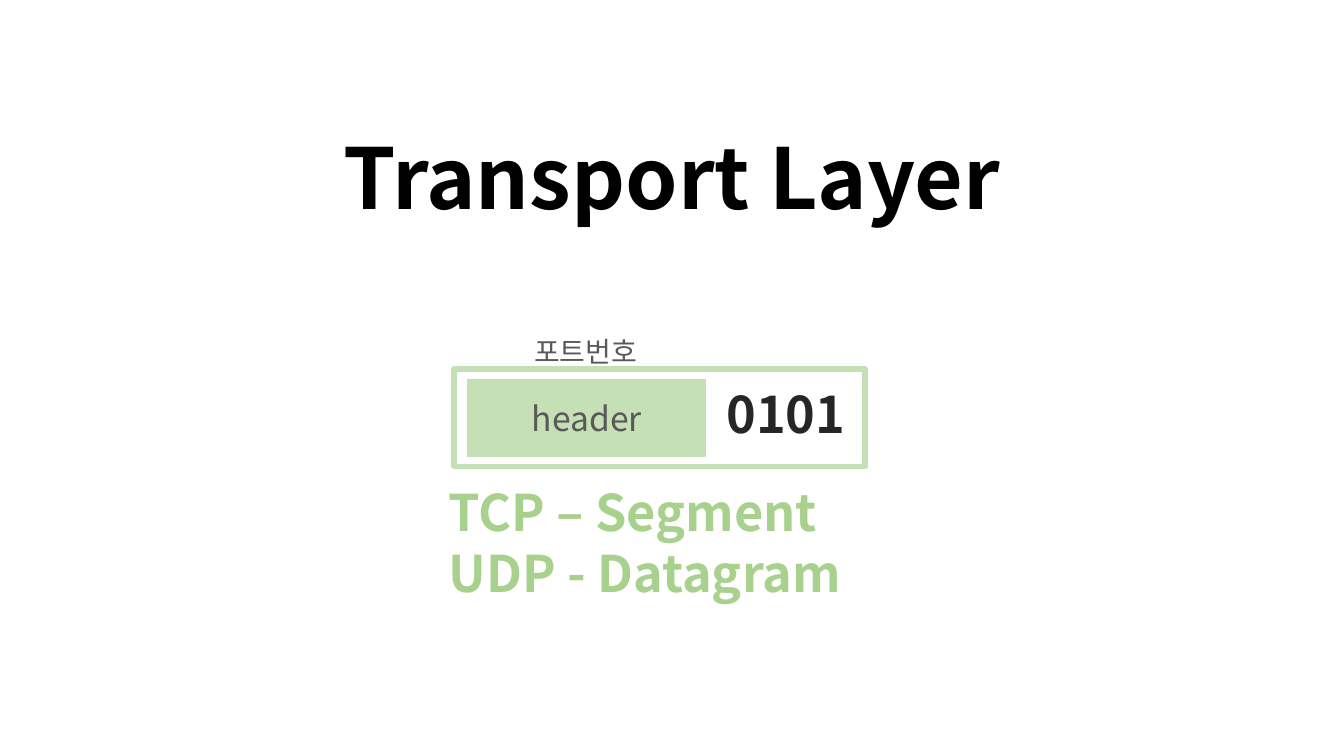
from dataclasses import dataclass
from typing import Optional

import pptx
import pptx.dml.color
import pptx.enum.shapes
import pptx.enum.text
import pptx.util

Align = pptx.enum.text.PP_ALIGN


@dataclass(frozen=True)
class Theme:
    font: str = "Noto Sans CJK KR"
    black: str = "000000"
    ink: str = "262626"
    gray: str = "595959"
    green: str = "A9D18E"
    pale_green: str = "C5E0B4"
    white: str = "FFFFFF"
    title_size: int = 60
    large_size: int = 36
    header_size: int = 24
    note_size: int = 20


THEME = Theme()
SLIDE_WIDTH = pptx.util.Inches(13.33)
SLIDE_HEIGHT = pptx.util.Inches(7.5)


@dataclass(frozen=True)
class Area:
    """Left, top, width and height in percent of the slide."""
    left: float
    top: float
    width: float
    height: float

    def lengths(self) -> tuple[int, int, int, int]:
        return (int(SLIDE_WIDTH * self.left / 100), int(SLIDE_HEIGHT * self.top / 100),
                int(SLIDE_WIDTH * self.width / 100), int(SLIDE_HEIGHT * self.height / 100))


@dataclass(frozen=True)
class Label:
    lines: tuple[str, ...]
    size: int
    color: str
    bold: bool = False
    align: Align = Align.LEFT
    spacing: Optional[float | pptx.util.Pt] = None


@dataclass(frozen=True)
class Block:
    """A rectangle if it has a line colour, otherwise a text box."""
    area: Area
    label: Optional[Label] = None
    fill: Optional[str] = None
    line: Optional[str] = None
    line_width: float = 1


BLOCKS = (
    Block(Area(16.58, 17.47, 66.84, 13.33),
          Label(("Transport Layer",), THEME.title_size, THEME.black, True, Align.CENTER, 0.9)),
    Block(Area(33.76, 48.8, 30.61, 12.93), line=THEME.pale_green, line_width=4),
    Block(Area(32.63, 62.4, 32.93, 18.4),
          Label(("TCP – Segment", "UDP - Datagram"), THEME.large_size, THEME.green, True,
                spacing=pptx.util.Pt(43.6))),
    Block(Area(52.59, 50.13, 11.78, 9.2),
          Label(("0101",), THEME.large_size, THEME.ink, True, Align.CENTER)),
    Block(Area(39.01, 41.6, 16.58, 9.87),
          Label(("포트번호",), THEME.note_size, THEME.gray)),
    Block(Area(34.73, 50, 17.85, 10.53),
          Label(("header",), THEME.header_size, THEME.gray, align=Align.CENTER),
          fill=THEME.pale_green, line=THEME.white),
)


def rgb(color: str) -> pptx.dml.color.RGBColor:
    return pptx.dml.color.RGBColor.from_string(color)


def write_label(frame: pptx.text.text.TextFrame, label: Label) -> None:
    frame.word_wrap = True
    frame.vertical_anchor = pptx.enum.text.MSO_ANCHOR.MIDDLE
    for index, line in enumerate(label.lines):
        paragraph = frame.add_paragraph() if index else frame.paragraphs[0]
        paragraph.alignment = label.align
        paragraph.line_spacing = label.spacing
        run = paragraph.add_run()
        run.text = line
        run.font.name = THEME.font
        run.font.size = pptx.util.Pt(label.size)
        run.font.bold = label.bold
        run.font.color.rgb = rgb(label.color)
        east_asian = run.font._element.makeelement(
            pptx.oxml.ns.qn("a:ea"), {"typeface": THEME.font})
        run.font._element.append(east_asian)


def draw_block(slide: pptx.slide.Slide, block: Block) -> None:
    if block.line:
        shape = slide.shapes.add_shape(
            pptx.enum.shapes.MSO_SHAPE.RECTANGLE, *block.area.lengths())
        shape.shadow.inherit = False
        shape.line.color.rgb = rgb(block.line)
        shape.line.width = pptx.util.Pt(block.line_width)
        if block.fill:
            shape.fill.solid()
            shape.fill.fore_color.rgb = rgb(block.fill)
        else:
            shape.fill.background()
    else:
        shape = slide.shapes.add_textbox(*block.area.lengths())
    if block.label:
        write_label(shape.text_frame, block.label)


def main() -> None:
    deck = pptx.Presentation()
    deck.slide_width, deck.slide_height = SLIDE_WIDTH, SLIDE_HEIGHT
    slide = deck.slides.add_slide(deck.slide_layouts[6])
    for block in BLOCKS:
        draw_block(slide, block)
    deck.save("out.pptx")


if __name__ == "__main__":
    main()
